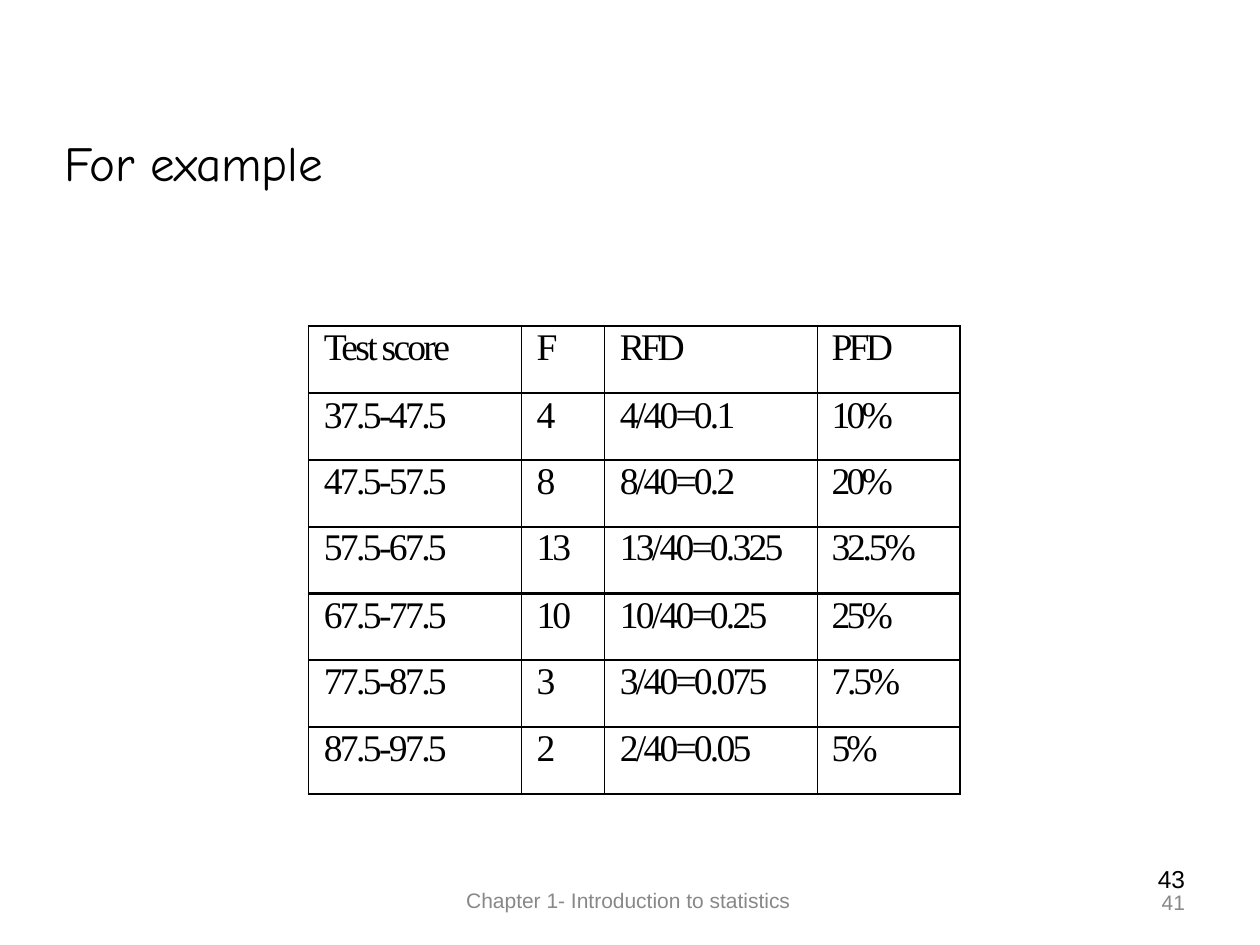
from dataclasses import dataclass

from lxml.etree import SubElement
from pptx import Presentation
from pptx.dml.color import RGBColor
from pptx.oxml.ns import qn
from pptx.util import Inches, Pt

COLORS = {"ink": "000000", "footer": "888888"}
BODY_FONT = "Times New Roman"
COLUMN_WIDTHS = (1.69, 0.66, 1.69, 1.13)
CELL_INDENTS = (0.12, 0.12, 0.12, 0.11)
ROW_HEIGHT = 0.53
BORDER_POINTS = {"a:lnL": 1, "a:lnR": 1, "a:lnT": 1.5, "a:lnB": 1.5}


@dataclass(frozen=True)
class ScoreRow:
    texts: tuple[str, str, str, str]
    tracking: tuple[float, float, float, float]
    leading: float


SCORE_ROWS = (
    ScoreRow(("Test score", "F", "RFD", "PFD"), (-1.55, 0, -2.3, -2.1), 24.4),
    ScoreRow(("37.5-47.5", "4", "4/40=0.1", "10%"), (-1.5, 0, -1.6, -2.1), 24.6),
    ScoreRow(("47.5-57.5", "8", "8/40=0.2", "20%"), (-1.5, 0, -1.6, -2.1), 24.2),
    ScoreRow(("57.5-67.5", "13", "13/40=0.325", "32.5%"), (-1.5, -1.8, -1.6, -1.8), 24.3),
    ScoreRow(("67.5-77.5", "10", "10/40=0.25", "25%"), (-1.5, -1.8, -1.6, -2.1), 24.6),
    ScoreRow(("77.5-87.5", "3", "3/40=0.075", "7.5%"), (-1.5, 0, -1.6, -1.8), 24.4),
    ScoreRow(("87.5-97.5", "2", "2/40=0.05", "5%"), (-1.5, 0, -1.6, -2.2), 24.4),
)


def write_text(frame, text: str, *, size: float, font: str = "Arial",
               color: str = "ink", indent: float = 0, leading: float | None = None,
               before: float = 0, tracking: float = 0) -> None:
    """Fill the frame's empty first paragraph, or add one after the others."""
    paragraph = frame.paragraphs[0] if not frame.text else frame.add_paragraph()
    paragraph.space_before = Pt(before)
    if leading:
        paragraph.line_spacing = Pt(leading)
    paragraph._p.get_or_add_pPr().set("marL", str(Inches(indent)))
    run = paragraph.add_run()
    run.text = text
    run.font.size = Pt(size)
    run.font.name = font
    run.font.color.rgb = RGBColor.from_string(COLORS[color])
    run._r.get_or_add_rPr().set("spc", str(round(tracking * 100)))


def add_text_frame(slide, left: float, top: float, width: float, height: float,
                   inset_top: float = 0):
    box = slide.shapes.add_textbox(Inches(left), Inches(top), Inches(width), Inches(height))
    frame = box.text_frame
    frame.word_wrap = True
    frame.margin_left = frame.margin_right = frame.margin_bottom = 0
    frame.margin_top = Inches(inset_top)
    return frame


def draw_borders(cell) -> None:
    properties = cell._tc.get_or_add_tcPr()
    for side, points in BORDER_POINTS.items():
        line = SubElement(properties, qn(side), w=str(Pt(points)))
        fill = SubElement(line, qn("a:solidFill"))
        SubElement(fill, qn("a:srgbClr"), val=COLORS["ink"])


def add_score_table(slide, left: float, top: float) -> None:
    table = slide.shapes.add_table(
        len(SCORE_ROWS), len(COLUMN_WIDTHS), Inches(left), Inches(top),
        Inches(sum(COLUMN_WIDTHS)), Inches(ROW_HEIGHT * len(SCORE_ROWS))).table
    table.first_row = table.horz_banding = False
    for column, width in zip(table.columns, COLUMN_WIDTHS):
        column.width = Inches(width)
    for table_row, score in zip(table.rows, SCORE_ROWS):
        table_row.height = Inches(ROW_HEIGHT)
        for cell, text, tracking, indent in zip(
                table_row.cells, score.texts, score.tracking, CELL_INDENTS):
            cell.margin_left = cell.margin_right = 0
            cell.margin_top = cell.margin_bottom = 0
            draw_borders(cell)
            cell.fill.background()
            write_text(cell.text_frame, text, size=21.5, font=BODY_FONT,
                       indent=indent, leading=score.leading, tracking=tracking)


def main() -> None:
    presentation = Presentation()
    presentation.slide_width = Inches(10)
    presentation.slide_height = Inches(7.5)
    slide = presentation.slides.add_slide(presentation.slide_layouts[6])

    page_numbers = add_text_frame(slide, 9.16, 6.89, 0.27, 0.38)
    write_text(page_numbers, "43", size=14, indent=0.03, leading=14.2)
    write_text(page_numbers, "41", size=12, color="footer", indent=0.06, leading=12.2)

    chapter = add_text_frame(slide, 3.69, 7.05, 2.61, 0.21)
    write_text(chapter, "Chapter 1- Introduction to statistics", size=12,
               color="footer", indent=0.01, leading=14.2)

    title = add_text_frame(slide, 0.5, 1.04, 2.24, 0.49, inset_top=0.01)
    write_text(title, "For example", size=28, font="Comic Neue", indent=0.01,
               before=1, tracking=-0.1)

    add_score_table(slide, 2.45, 2.59)
    presentation.save("out.pptx")


if __name__ == "__main__":
    main()
